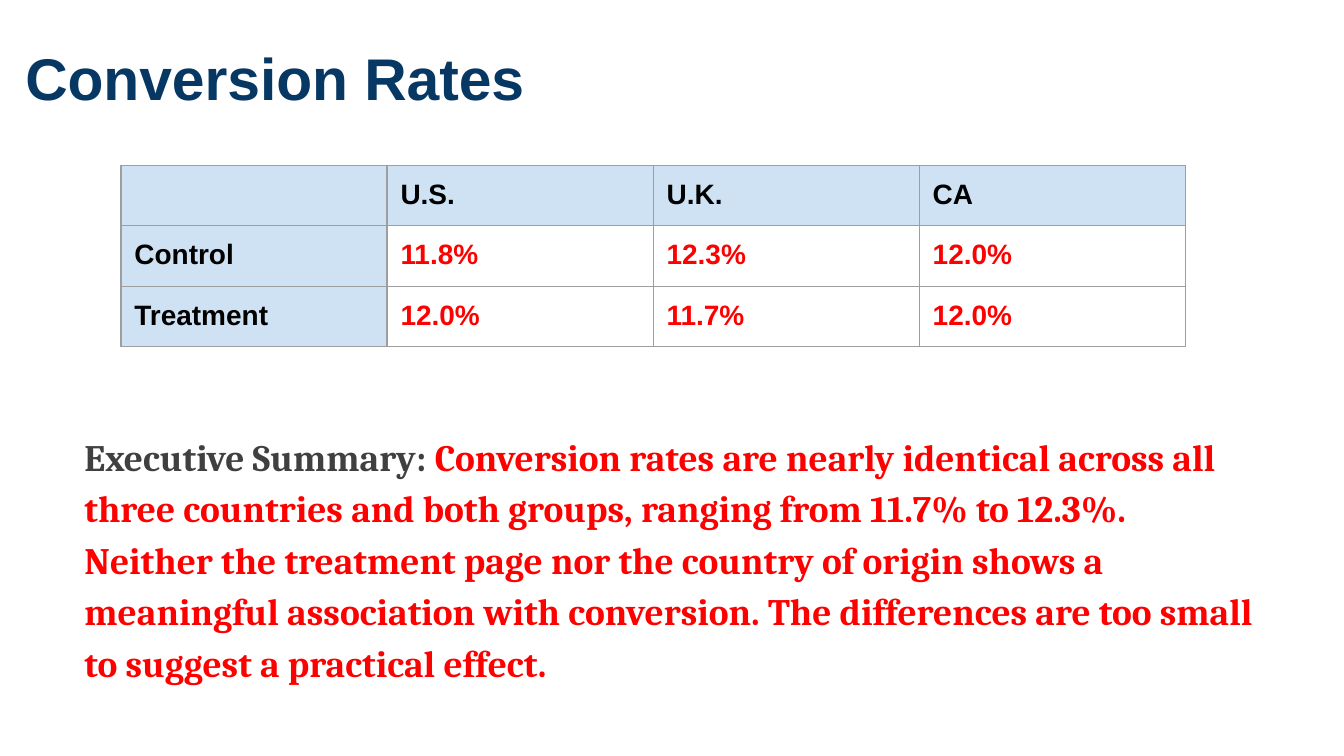
from lxml.etree import SubElement as Sub
from pptx import Presentation
from pptx.dml.color import RGBColor as RGB
from pptx.enum.text import MSO_AUTO_SIZE as Auto
from pptx.oxml.ns import qn
from pptx.util import Inches, Pt

HUES = {"navy": "073763", "black": "000000", "red": "FF0000", "gray": "404040",
        "pale": "CFE2F3", "white": "FFFFFF", "rule": "9E9E9E"}
RATES = [["", "U.S.", "U.K.", "CA"],
         ["Control", "11.8%", "12.3%", "12.0%"],
         ["Treatment", "12.0%", "11.7%", "12.0%"]]
LABEL = "Executive Summary: "
SUMMARY = ("Conversion rates are nearly identical across all three countries and both groups, "
           "ranging from 11.7% to 12.3%. Neither the treatment page nor the country of origin "
           "shows a meaningful association with conversion. The differences are too small to "
           "suggest a practical effect.")


class Deck:
    """Holds the style and the current slide."""

    def __init__(self, show):
        self.slide = show.slides.add_slide(show.slide_layouts[6])
        self.pad = Inches(0.1)

    def hue(self, name):
        return RGB.from_string(HUES[name])

    def style(self, para, face, size):
        para.font.name = face
        para.font.size = Pt(size)
        para.font.bold = True

    def inset(self, item, tall):
        item.margin_left = item.margin_right = self.pad
        item.margin_top = item.margin_bottom = tall

    def text(self, box, runs, face, size, lead=None):
        frame = self.slide.shapes.add_textbox(*map(Inches, box)).text_frame
        frame.word_wrap = True
        frame.auto_size = Auto.SHAPE_TO_FIT_TEXT
        self.inset(frame, self.pad)
        para = frame.paragraphs[0]
        para.line_spacing = lead
        self.style(para, face, size)
        if len(runs) == 1:
            para.font.color.rgb = self.hue(runs[0][1])
        for words, tint in runs:
            run = para.add_run()
            run.text = words
            if len(runs) > 1:
                run.font.color.rgb = self.hue(tint)

    def edge(self, cell):
        props = cell._tc.get_or_add_tcPr()
        for side in "LRTB":
            line = Sub(props, qn(f"a:ln{side}"), w=str(Pt(0.75)))
            Sub(Sub(line, qn("a:solidFill")), qn("a:srgbClr"), val=HUES["rule"])

    def table(self, box, rows):
        grid = self.slide.shapes.add_table(len(rows), len(rows[0]), *map(Inches, box)).table
        grid.first_row = grid.horz_banding = False
        for r, row in enumerate(rows):
            for c, words in enumerate(row):
                cell = grid.cell(r, c)
                head = r == 0 or c == 0
                self.edge(cell)
                self.inset(cell, self.pad if words else 0)
                cell.fill.solid()
                cell.fill.fore_color.rgb = self.hue("pale" if head else "white")
                para = cell.text_frame.paragraphs[0]
                para.text = words
                self.style(para, "Arial", 15)
                para.font.color.rgb = self.hue("black" if head else "red")


def main():
    show = Presentation()
    show.slide_width, show.slide_height = Inches(10), Inches(10 * 9 / 16)
    deck = Deck(show)
    deck.text((0.09, 0.21, 10, 0.73), [("Conversion Rates", "navy")], "Arial", 31.5)
    deck.table((0.9, 1.23, 7.92, 1.35), RATES)
    deck.text((0.53, 3.08, 8.95, 0.93), [(LABEL, "gray"), (SUMMARY, "red")],
              "Cambria", 20, 1.15)
    show.save("out.pptx")


if __name__ == "__main__":
    main()
